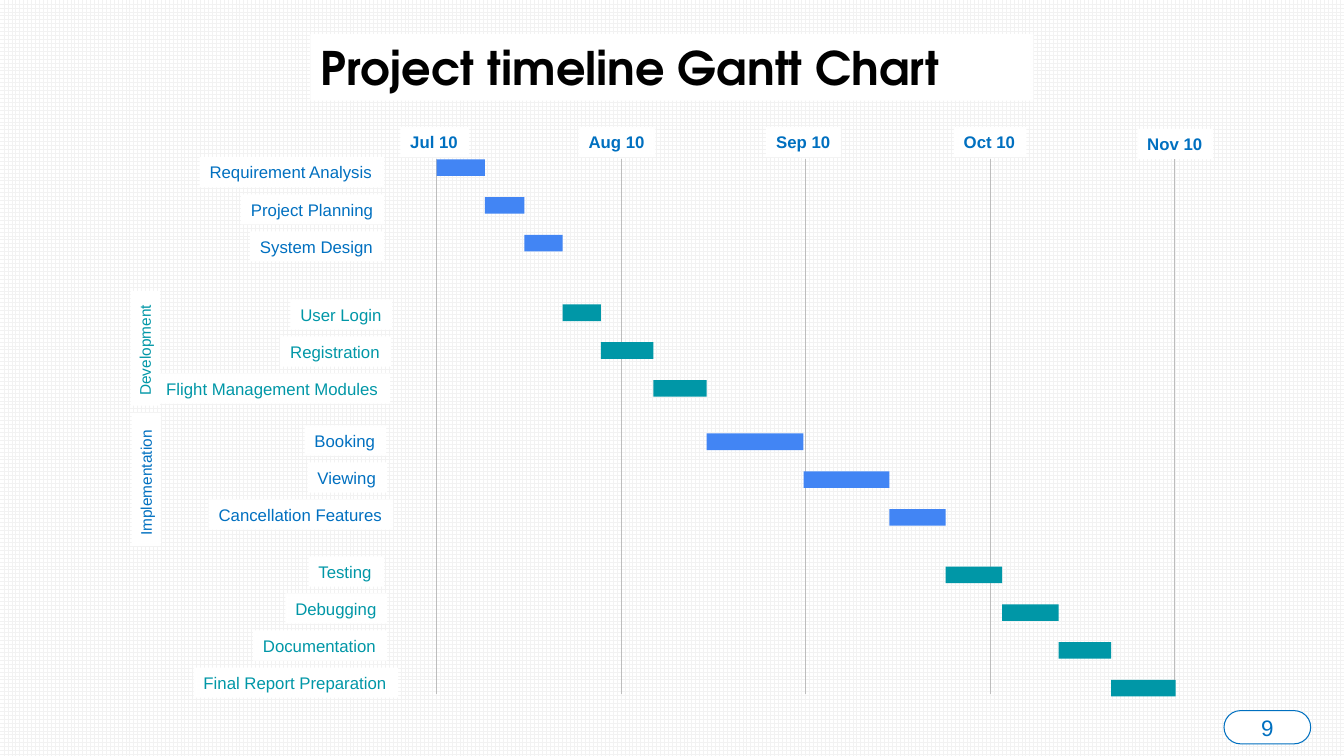
"""Build the project timeline Gantt chart slide."""
from lxml.etree import SubElement
from pptx import Presentation
from pptx.dml.color import RGBColor
from pptx.enum.dml import MSO_PATTERN
from pptx.enum.shapes import MSO_CONNECTOR, MSO_SHAPE
from pptx.enum.text import MSO_ANCHOR, MSO_AUTO_SIZE, PP_ALIGN
from pptx.oxml.ns import qn
from pptx.util import Inches, Pt


class Theme:
    white = RGBColor(0xFF, 0xFF, 0xFF)
    grid = RGBColor(0xF2, 0xF2, 0xF2)
    black = RGBColor(0, 0, 0)
    blue = RGBColor(0x00, 0x70, 0xC0)
    bar_blue = RGBColor(0x42, 0x85, 0xF4)
    teal = RGBColor(0x00, 0x97, 0xA7)
    rule = RGBColor(0xBD, 0xBD, 0xBD)
    title_font, body_font = "TeX Gyre Adventor", "Arial"
    title_size, number_size, label_size, phase_size = 33, 16, 12, 11
    line_width = Pt(0.75)


deck = Presentation()
deck.slide_width, deck.slide_height = Inches(13.33), Inches(7.5)
page = deck.slides.add_slide(deck.slide_layouts[6])
column, row = deck.slide_width / 1333, deck.slide_height / 750

backdrop = page.background.fill
backdrop.patterned()
backdrop.pattern = MSO_PATTERN.LARGE_GRID
backdrop.fore_color.rgb, backdrop.back_color.rgb = Theme.grid, Theme.white


def add_block(left, top, width, height, fill=Theme.white, kind=MSO_SHAPE.RECTANGLE):
    box = page.shapes.add_shape(
        kind, round(left * column), round(top * row), round(width * column), round(height * row))
    box.shadow.inherit = False
    box.fill.solid()
    box.fill.fore_color.rgb = fill
    box.line.fill.background()
    return box


def write(box, text, color=Theme.blue, size=Theme.label_size, font=Theme.body_font,
          bold=False, wrap=False, grow=True, align=PP_ALIGN.LEFT, anchor=MSO_ANCHOR.TOP):
    frame = box.text_frame
    frame.word_wrap = wrap
    frame.auto_size = MSO_AUTO_SIZE.SHAPE_TO_FIT_TEXT if grow else MSO_AUTO_SIZE.NONE
    frame.vertical_anchor = anchor
    para = frame.paragraphs[0]
    para.alignment = align
    span = para.add_run()
    span.text = text
    span.font.name, span.font.size, span.font.bold = font, Pt(size), bold
    span.font.color.rgb = color


write(add_block(308, 34, 717, 66), "Project timeline Gantt Chart", color=Theme.black,
      size=Theme.title_size, font=Theme.title_font, bold=True, wrap=True)

label_height, label_step = 30, 36.75
bar_height, bar_step = 16.5, 37.5
chart_left, chart_top, chart_bottom, month_width = 433, 158, 689, 183

phases = [
    (156, 158, Theme.blue, Theme.bar_blue, [
        ("Requirement Analysis", 198, 183, 48),
        ("Project Planning", 239, 142, 39),
        ("System Design", 248, 133, 38)]),
    (297, 302, Theme.teal, Theme.teal, [
        ("User Login", 288, 101, 38),
        ("Registration", 278, 110, 52),
        ("Flight Management Modules", 155, 232, 53)]),
    (422, 430, Theme.blue, Theme.bar_blue, [
        ("Booking", 302, 81, 96),
        ("Viewing", 305, 79, 85),
        ("Cancellation Features", 207, 183, 56)]),
    (552, 562, Theme.teal, Theme.teal, [
        ("Testing", 306, 75, 56),
        ("Debugging", 283, 101, 56),
        ("Documentation", 251, 133, 52),
        ("Final Report Preparation", 192, 203, 64)]),
]
for label_top, bar_top, ink, bar_fill, tasks in phases:
    for index, (task, left, width, duration) in enumerate(tasks):
        label = add_block(left, label_top + index * label_step, width, label_height)
        write(label, task, color=ink)

for phase, left, top, width, ink in [
        ("Development", 87, 331, 114, Theme.teal),
        ("Implementation", 79, 461, 132, Theme.blue)]:
    tag = add_block(left, top, width, 29)
    tag.rotation = 270
    write(tag, phase, color=ink, size=Theme.phase_size, wrap=True)

months = [("Jul 10", 397, 126, 68), ("Aug 10", 574, 126, 76), ("Sep 10", 760, 126, 74),
          ("Oct 10", 946, 126, 72), ("Nov 10", 1128, 128, 75)]
for index, (month, left, top, width) in enumerate(months):
    write(add_block(left, top, width, label_height), month, bold=True)
    across = round((chart_left + index * month_width) * column)
    rule = page.shapes.add_connector(
        MSO_CONNECTOR.STRAIGHT, across, round(chart_top * row), across, round(chart_bottom * row))
    rule.line.color.rgb, rule.line.width = Theme.rule, Theme.line_width
    SubElement(rule.element.spPr, qn("a:effectLst"))

start = chart_left
for label_top, bar_top, ink, bar_fill, tasks in phases:
    for index, (task, left, width, duration) in enumerate(tasks):
        add_block(start, bar_top + index * bar_step, duration, bar_height, fill=bar_fill)
        start += duration

badge = add_block(1214, 705, 86, 33, kind=MSO_SHAPE.ROUNDED_RECTANGLE)
badge.adjustments[0] = 0.5
badge.line.color.rgb, badge.line.width = Theme.blue, Theme.line_width
write(badge, "9", size=Theme.number_size, wrap=True, grow=False,
      align=PP_ALIGN.CENTER, anchor=MSO_ANCHOR.MIDDLE)

deck.save("out.pptx")
